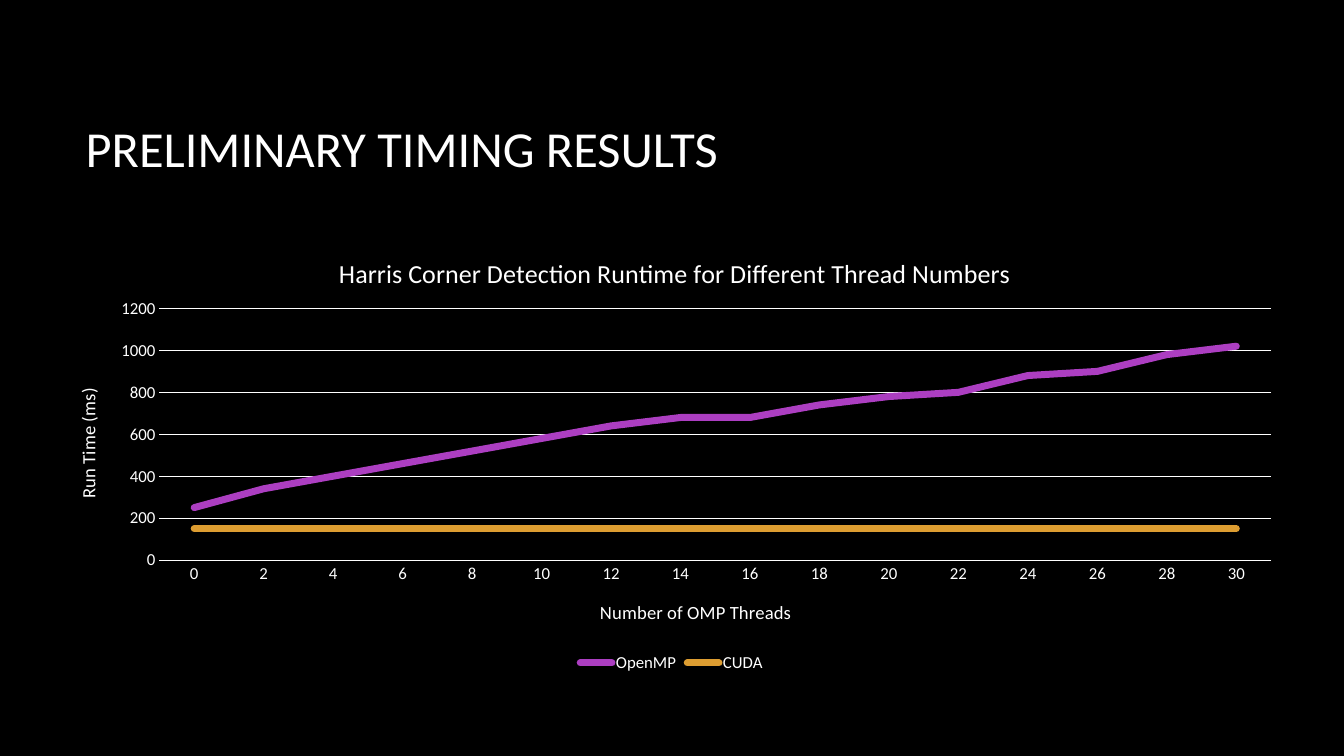
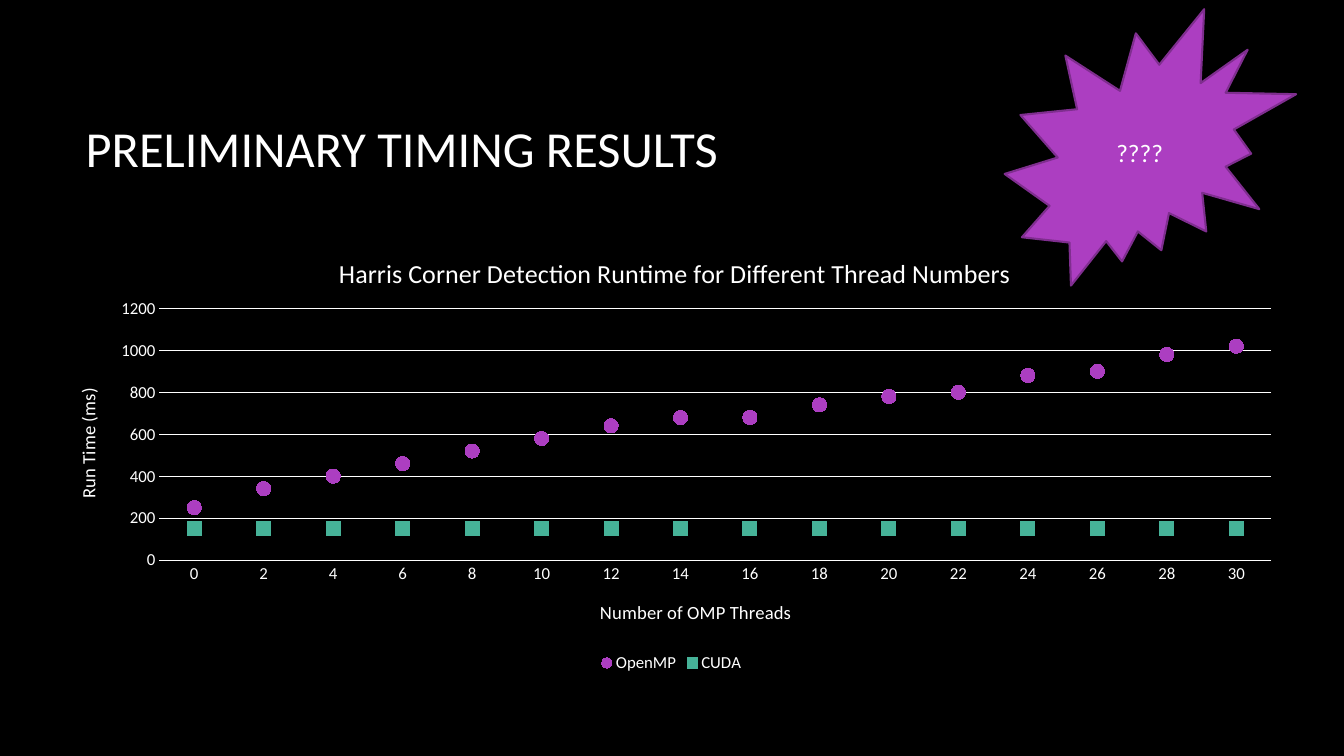
from lxml import etree
from pptx import Presentation
from pptx.chart.data import CategoryChartData
from pptx.dml.color import RGBColor
from pptx.enum.chart import XL_CHART_TYPE, XL_LEGEND_POSITION, XL_MARKER_STYLE, XL_TICK_MARK
from pptx.enum.shapes import MSO_SHAPE
from pptx.enum.text import MSO_ANCHOR, PP_ALIGN
from pptx.oxml.ns import qn
from pptx.util import Inches, Pt

LINE, LINE_MARKERS = XL_CHART_TYPE.LINE, XL_CHART_TYPE.LINE_MARKERS
CIRCLE, SQUARE = XL_MARKER_STYLE.CIRCLE, XL_MARKER_STYLE.SQUARE
BOTTOM = XL_LEGEND_POSITION.BOTTOM
NO_TICK = XL_TICK_MARK.NONE
BURST = MSO_SHAPE.EXPLOSION2
LEFT, CENTER, MIDDLE = PP_ALIGN.LEFT, PP_ALIGN.CENTER, MSO_ANCHOR.MIDDLE

WIDTH, HEIGHT = Inches(13.33), Inches(7.5)
COLUMNS, ROWS = 16, 9
TITLE_ONLY = 5
FONT = "Calibri"
BLACK, WHITE = "000000", "FFFFFF"
PURPLE, DARK_PURPLE, ORANGE, GREEN = "AC3EC1", "7F2E8F", "DD9D31", "46B298"

THREADS = [str(count) for count in range(0, 32, 2)]
RUN_TIMES = {
    "OpenMP": [250, 340, 400, 460, 520, 580, 640, 680,
               680, 740, 780, 800, 880, 900, 980, 1020],
    "CUDA": [150] * len(THREADS),
}


def color(hex_text):
    return RGBColor.from_string(hex_text)


def style_font(font, size):
    font.name, font.size, font.bold = FONT, Pt(size), False
    font.color.rgb = color(WHITE)


def set_layout(element, **settings):
    """Fix the place of a chart part, in shares of the chart's size."""
    layout = element.find(qn("c:layout"))
    if layout is None:
        layout = etree.Element(qn("c:layout"))
        element.insert(0, layout)
    manual = etree.SubElement(layout, qn("c:manualLayout"))
    for name, value in settings.items():
        etree.SubElement(manual, qn("c:" + name)).set("val", str(value))


class Deck:
    def __init__(self):
        self.deck = Presentation()
        self.deck.slide_width, self.deck.slide_height = WIDTH, HEIGHT
        fill = self.deck.slide_master.background.fill
        fill.solid()
        fill.fore_color.rgb = color(BLACK)
        self.page = None

    def grid(self, column, row, columns, rows):
        """Turn grid columns and rows into left, top, width and height."""
        across, down = WIDTH / COLUMNS, HEIGHT / ROWS
        return [round(length) for length in
                (column * across, row * down, columns * across, rows * down)]

    def set_text(self, frame, text, size, align):
        frame.text = text
        frame.word_wrap = True
        frame.vertical_anchor = MIDDLE
        para = frame.paragraphs[0]
        para.alignment = align
        style_font(para.runs[0].font, size)

    def add_page(self, title):
        self.page = self.deck.slides.add_slide(self.deck.slide_layouts[TITLE_ONLY])
        box = self.page.shapes.title
        box.left, box.top, box.width, box.height = self.grid(0.9, 0.8, 13.3, 1.9)
        self.set_text(box.text_frame, title, 36, LEFT)

    def chart_text(self, title, text, size, x, y):
        title.text_frame.text = text
        style_font(title.text_frame.paragraphs[0].runs[0].font, size)
        set_layout(title._element, xMode="edge", yMode="edge", x=x, y=y)

    def add_runtime_chart(self, kind):
        data = CategoryChartData()
        data.categories = THREADS
        for name, values in RUN_TIMES.items():
            data.add_series(name, values)
        place = self.grid(0.56, 2.71, 14.87, 5.35)
        chart = self.page.shapes.add_chart(kind, *place, data).chart
        style_font(chart.font, 12)
        self.chart_text(chart.chart_title,
                        "Harris Corner Detection Runtime for Different Thread Numbers",
                        18.6, 0.23, 0.05)
        chart.has_legend = True
        chart.legend.position = BOTTOM
        chart.legend.include_in_layout = False
        style_font(chart.legend.font, 12)
        chart.plots[0].vary_by_categories = False

        threads, times = chart.category_axis, chart.value_axis
        for axis in (threads, times):
            axis.major_tick_mark = axis.minor_tick_mark = NO_TICK
            style_font(axis.tick_labels.font, 12)
        self.chart_text(threads.axis_title, "Number of OMP Threads", 13.3, 0.44, 0.82)
        self.chart_text(times.axis_title, "Run Time (ms)", 13.3, 0.02, 0.35)
        body = times.axis_title._element.find(".//" + qn("a:bodyPr"))
        body.set("rot", "-5400000")
        body.set("vert", "horz")
        times.minimum_scale, times.maximum_scale, times.major_unit = 0, 1200, 200
        times.format.line.fill.background()
        for line in (threads.format.line, times.major_gridlines.format.line):
            line.color.rgb = color(WHITE)
            line.width = Pt(0.75)
        set_layout(chart._chartSpace.find(".//" + qn("c:plotArea")),
                   layoutTarget="inner", xMode="edge", yMode="edge",
                   x=0.09, y=0.18, w=0.89, h=0.56)
        return chart

    def add_line_chart(self, colors):
        chart = self.add_runtime_chart(LINE)
        for series, shade in zip(chart.series, colors):
            series.smooth = False
            series.format.line.color.rgb = color(shade)
            series.format.line.width = Pt(5)
            series._element.find(".//" + qn("a:ln")).set("cap", "rnd")

    def add_marker_chart(self, markers):
        chart = self.add_runtime_chart(LINE_MARKERS)
        for series, (style, shade) in zip(chart.series, markers):
            series.smooth = False
            series.format.line.fill.background()
            marker = series.marker
            marker.style, marker.size = style, 10
            marker.format.fill.solid()
            marker.format.fill.fore_color.rgb = color(shade)
            marker.format.line.color.rgb = color(shade)

    def add_burst(self, text, place):
        burst = self.page.shapes.add_shape(BURST, *self.grid(*place))
        burst.shadow.inherit = False
        burst.fill.solid()
        burst.fill.fore_color.rgb = color(PURPLE)
        burst.line.color.rgb = color(DARK_PURPLE)
        burst.line.width = Pt(1.5)
        self.set_text(burst.text_frame, text, 18, CENTER)


def main():
    slides = Deck()
    title = "PRELIMINARY TIMING RESULTS"

    slides.add_page(title)
    slides.add_line_chart([PURPLE, ORANGE])

    slides.add_page(title)
    slides.add_marker_chart([(CIRCLE, PURPLE), (SQUARE, GREEN)])
    slides.add_burst("????", (11.96, 0.11, 3.47, 3.29))

    slides.deck.save("out.pptx")


if __name__ == "__main__":
    main()
